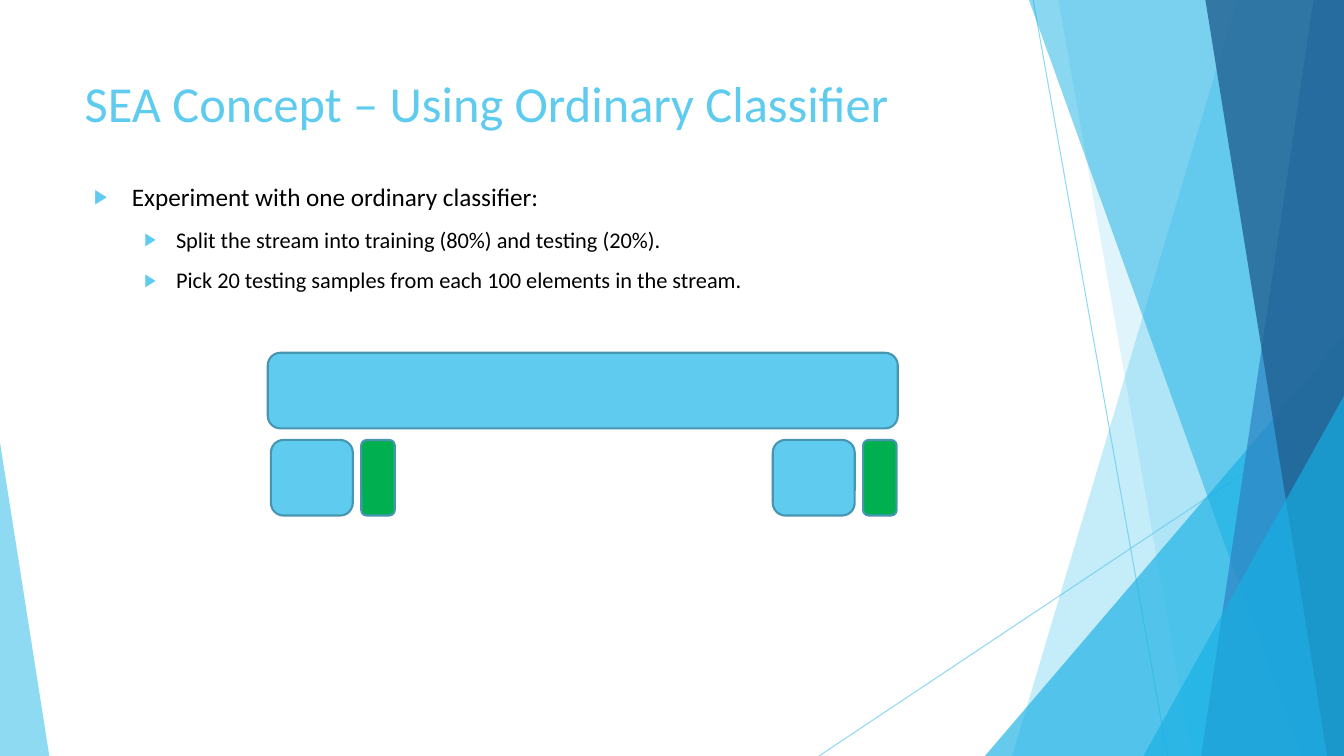
"""Build the slide on the SEA concept with an ordinary classifier."""
from pptx import Presentation
from pptx.dml.color import RGBColor
from pptx.enum.shapes import MSO_CONNECTOR as CONN, MSO_SHAPE as SHAPE
from pptx.enum.text import MSO_ANCHOR as ANCHOR, MSO_AUTO_SIZE as AUTO, PP_ALIGN as ALIGN
from pptx.oxml import parse_xml
from pptx.oxml.ns import nsdecls
from pptx.util import Pt

PX = 9525
COLORS = {
    "sky": "5FCBEF",
    "cyan": "17B0E4",
    "blue": "2E83C3",
    "navy": "226292",
    "edge": "4696B1",
    "green": "00B050",
    "black": "000000",
}


def rgb(name):
    return RGBColor.from_string(COLORS[name])


def glaze(sp, fill, color, alpha):
    fill.solid()
    fill.fore_color.rgb = rgb(color)
    clr = sp.element.xpath("./p:spPr//a:srgbClr")[0]
    clr.append(parse_xml(f'<a:alpha {nsdecls("a")} val="{alpha * 1000}"/>'))


prs = Presentation()
prs.slide_width, prs.slide_height = 1280 * PX, 720 * PX
s = prs.slides.add_slide(prs.slide_layouts[1])
title, body = s.placeholders

for ends in [(984, 0, 1112, 720), (1280, 387, 780, 720)]:
    line = s.shapes.add_connector(CONN.STRAIGHT, *[v * PX for v in ends])
    line.line.width = Pt(0.75)
    glaze(line, line.line.fill, "sky", 70)
    line.element.spPr.append(parse_xml(f'<a:effectLst {nsdecls("a")}/>'))

bands = [
    ("band", (1178, 964), "sky", 36),
    ("band", (1008, 1135), "sky", 20),
    ("triangle", (938, 320, 342, 400, 1), "cyan", 66),
    ("band", (980, 1239), "cyan", 50),
    ("band", (1251, 1144), "blue", 70),
    ("band", (1148, 1264), "navy", 80),
    ("triangle", (1089, 377, 191, 343, 1), "cyan", 66),
    ("triangle", (0, 421, 47, 299, 0), "sky", 70),
]
for kind, geometry, color, alpha in bands:
    if kind == "band":
        top_x, bottom_x = geometry
        outline = s.shapes.build_freeform(top_x, 0, scale=PX)
        outline.add_line_segments([(1280, 0), (1280, 720), (bottom_x, 720)], close=True)
        sp = outline.convert_to_shape()
    else:
        *box, apex = geometry
        sp = s.shapes.add_shape(SHAPE.ISOSCELES_TRIANGLE, *[v * PX for v in box])
        sp.adjustments[0] = apex
    glaze(sp, sp.fill, color, alpha)
    sp.line.fill.background()
    sp.shadow.inherit = False

for holder, box in [(title, (71, 64, 902, 138)), (body, (80, 168, 848, 407))]:
    s.shapes.element.append(holder.element)
    holder.left, holder.top, holder.width, holder.height = [v * PX for v in box]
    tf = holder.text_frame
    tf.word_wrap = True
    tf.auto_size = AUTO.NONE
    tf.vertical_anchor = ANCHOR.TOP

title.text_frame.text = "SEA Concept – Using Ordinary Classifier"
p = title.text_frame.paragraphs[0]
p.alignment = ALIGN.LEFT
font = p.runs[0].font
font.name, font.size, font.color.rgb = "Calibri", Pt(36), rgb("sky")

points = [
    ("Experiment with one ordinary classifier:", 0),
    ("Split the stream into training (80%) and testing (20%).", 1),
    ("Pick 20 testing samples from each 100 elements in the stream.", 1),
]
levels = [(36, 36, 18), (78, 30, 16)]
body.text_frame.text = "\n".join(text for text, level in points)
for i, (p, (text, level)) in enumerate(zip(body.text_frame.paragraphs, points)):
    margin, hang, size = levels[level]
    p.level = level
    p.space_before = Pt(10 if i else 0)
    pPr = p._p.get_or_add_pPr()
    pPr.set("marL", str(margin * PX))
    pPr.set("indent", str(-hang * PX))
    for bullet in [
        f'<a:buClr {nsdecls("a")}><a:srgbClr val="{COLORS["sky"]}"/></a:buClr>',
        f'<a:buSzPct {nsdecls("a")} val="80000"/>',
        f'<a:buChar {nsdecls("a")} char="▶"/>',
    ]:
        pPr.append(parse_xml(bullet))
    font = p.runs[0].font
    font.name, font.size, font.color.rgb = "Calibri", Pt(size), rgb("black")

blocks = [(555, 372, 600, "sky")]
for offset in (0, 478):
    blocks += [(297 + offset, 455, 78, "sky"), (360 + offset, 455, 32, "green")]
for center_x, center_y, length, color in blocks:
    box = (center_x - 36, center_y - length // 2, 72, length)
    sp = s.shapes.add_shape(SHAPE.ROUNDED_RECTANGLE, *[v * PX for v in box])
    sp.rotation = 90
    sp.fill.solid()
    sp.fill.fore_color.rgb = rgb(color)
    sp.line.color.rgb = rgb("edge")
    sp.line.width = Pt(1.5)
    sp.shadow.inherit = False

prs.save("out.pptx")
